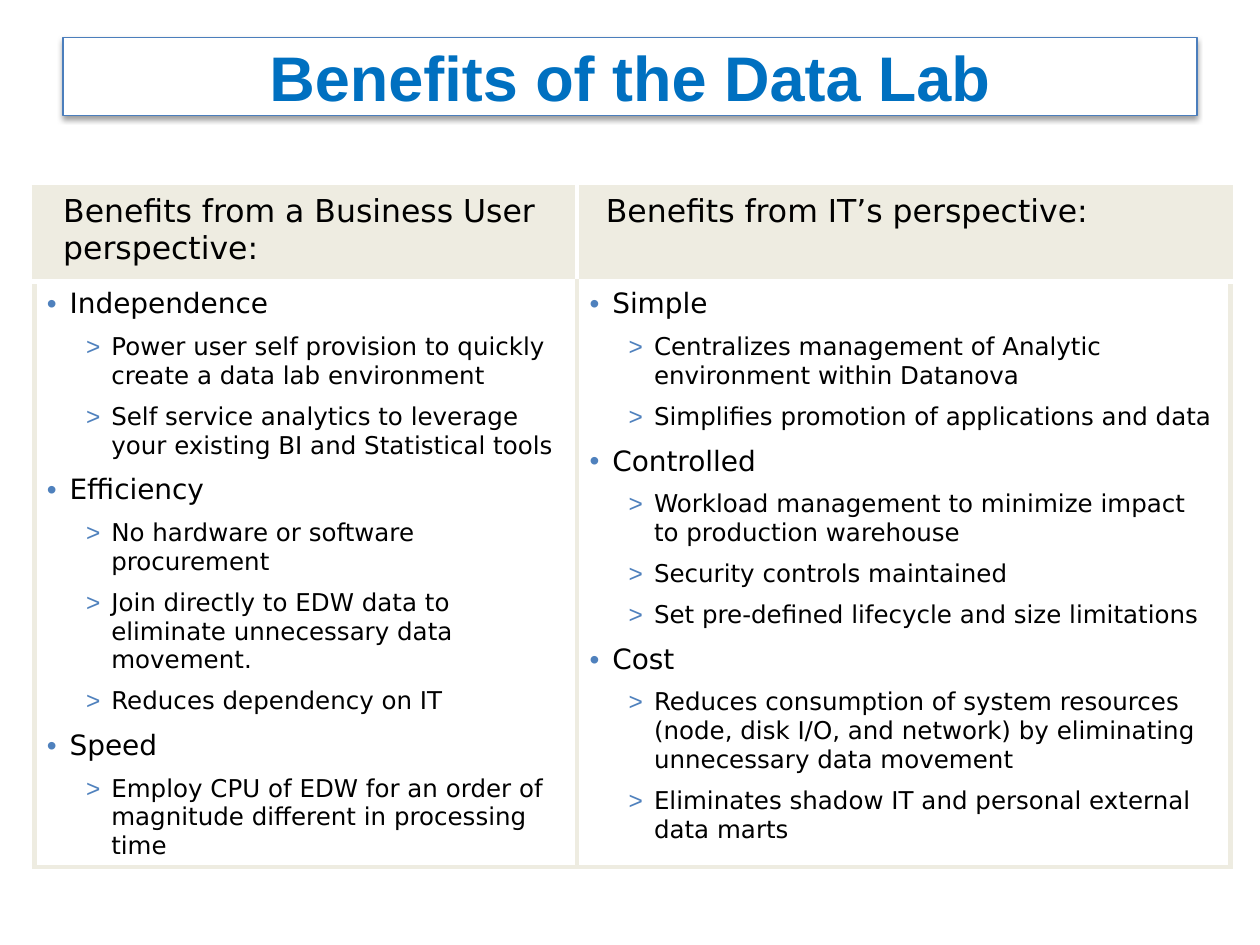
from dataclasses import dataclass

from lxml import etree
from pptx import Presentation
from pptx import util as u
from pptx.dml.color import RGBColor
from pptx.enum import shapes, text
from pptx.oxml import ns

WHITE = RGBColor(0xFF, 0xFF, 0xFF)
BLACK = RGBColor(0x00, 0x00, 0x00)
SAND = RGBColor(0xEE, 0xEC, 0xE1)
TITLE_BLUE = RGBColor(0x00, 0x70, 0xC0)
FRAME_BLUE = RGBColor(0x4B, 0x7E, 0xBC)
BULLET_BLUE = RGBColor(0x4F, 0x81, 0xBD)
BODY_FONT = "DejaVu Sans"


@dataclass(frozen=True)
class Level:
    number: int
    size: int
    left: float
    hang: float
    bullet: str


@dataclass(frozen=True)
class Benefit:
    name: str
    details: tuple[str, ...]


@dataclass(frozen=True)
class Perspective:
    heading: str
    width: float
    benefits: tuple[Benefit, ...]


HEADING = Level(0, 18, 0.33, 0, "")
TOPIC = Level(0, 16, 0.46, 0.46, "•")
DETAIL = Level(1, 14, 1.3, 0.51, ">")

PERSPECTIVES = (
    Perspective("Benefits from a Business User perspective:", 10.94, (
        Benefit("Independence", (
            "Power user self provision to quickly create a data lab environment",
            "Self service analytics to leverage your existing BI and Statistical tools")),
        Benefit("Efficiency", (
            "No hardware or software procurement",
            "Join directly to EDW data to eliminate unnecessary data movement.",
            "Reduces dependency on IT")),
        Benefit("Speed", (
            "Employ CPU of EDW for an order of magnitude different in processing time",)),
    )),
    Perspective("Benefits from IT’s perspective:", 13.18, (
        Benefit("Simple", (
            "Centralizes management of Analytic environment within Datanova",
            "Simplifies promotion of applications and data")),
        Benefit("Controlled", (
            "Workload management to minimize impact to production warehouse",
            "Security controls maintained",
            "Set pre-defined lifecycle and size limitations")),
        Benefit("Cost", (
            "Reduces consumption of system resources (node, disk I/O, and network) "
            "by eliminating unnecessary data movement",
            "Eliminates shadow IT and personal external data marts")),
    )),
)


def add_element(parent, tag: str, **attributes: str):
    return etree.SubElement(parent, ns.qn(tag), attributes)


def add_span(para, words: str, *, font: str, size: int, color: RGBColor,
             bold: bool = False) -> None:
    span = para.add_run()
    span.text = words
    span.font.name = font
    span.font.size = u.Pt(size)
    span.font.bold = bold
    span.font.color.rgb = color


def add_title(page, words: str) -> None:
    box = page.shapes.add_shape(shapes.MSO_SHAPE.RECTANGLE, u.Cm(1.27), u.Cm(0.76),
                                u.Cm(22.86), u.Cm(1.57))
    box.fill.solid()
    box.fill.fore_color.rgb = WHITE
    box.line.color.rgb = FRAME_BLUE
    box.line.width = u.Pt(0.75)
    # Soft shadow below the frame
    box.shadow.inherit = False
    effects = box._element.spPr.find(ns.qn("a:effectLst"))
    shadow = add_element(effects, "a:outerShdw", blurRad=str(u.Pt(3.1)),
                         dist=str(u.Pt(1.6)), dir="5400000", rotWithShape="0")
    shade = add_element(shadow, "a:srgbClr", val=str(BLACK))
    add_element(shade, "a:alpha", val="38000")
    frame = box.text_frame
    frame.word_wrap = True
    frame.vertical_anchor = text.MSO_ANCHOR.MIDDLE
    para = frame.paragraphs[0]
    para.alignment = text.PP_ALIGN.CENTER
    add_span(para, words, font="Arial", size=36, color=TITLE_BLUE, bold=True)


def style_cell(cell, *, fill: RGBColor, left: RGBColor, right: RGBColor) -> None:
    cell.fill.solid()
    cell.fill.fore_color.rgb = fill
    properties = cell._tc.get_or_add_tcPr()
    sides = {"L": left, "R": right, "T": fill, "B": SAND}
    for position, (side, color) in enumerate(sides.items()):
        line = etree.Element(ns.qn(f"a:ln{side}"), w=str(u.Pt(3)))
        paint = add_element(line, "a:solidFill")
        add_element(paint, "a:srgbClr", val=str(color))
        properties.insert(position, line)


def write_cell(cell, lines: list[tuple[Level, str]]) -> None:
    frame = cell.text_frame
    for index, (level, words) in enumerate(lines):
        para = frame.add_paragraph() if index else frame.paragraphs[0]
        para.level = level.number
        para.space_before = u.Pt(level.size / 2 if index else 0)
        properties = para._p.get_or_add_pPr()
        properties.set("marL", str(u.Cm(level.left)))
        properties.set("indent", str(-u.Cm(level.hang)))
        if level.bullet:
            color = add_element(properties, "a:buClr")
            add_element(color, "a:srgbClr", val=str(BULLET_BLUE))
            add_element(properties, "a:buFont", typeface="Arial")
            add_element(properties, "a:buChar", char=level.bullet)
        add_span(para, words, font=BODY_FONT, size=level.size, color=BLACK)


def add_benefits_table(page, perspectives: tuple[Perspective, ...]) -> None:
    heights = (1.9, 11.78)
    width = sum(item.width for item in perspectives)
    table = page.shapes.add_table(2, len(perspectives), u.Cm(0.69), u.Cm(3.78),
                                  u.Cm(width), u.Cm(sum(heights))).table
    table.first_row = table.horz_banding = False
    for row, height in zip(table.rows, heights):
        row.height = u.Cm(height)
    last = len(perspectives) - 1
    for index, item in enumerate(perspectives):
        table.columns[index].width = u.Cm(item.width)
        header, body = table.cell(0, index), table.cell(1, index)
        # White divider in the header, sand frame around the body
        style_cell(header, fill=SAND, left=WHITE if index else SAND,
                   right=SAND if index == last else WHITE)
        style_cell(body, fill=WHITE, left=SAND, right=SAND)
        write_cell(header, [(HEADING, item.heading)])
        lines = []
        for benefit in item.benefits:
            lines.append((TOPIC, benefit.name))
            lines.extend((DETAIL, detail) for detail in benefit.details)
        write_cell(body, lines)


def main() -> None:
    deck = Presentation()
    deck.slide_width, deck.slide_height = u.Cm(25.4), u.Cm(19.05)
    page = deck.slides.add_slide(deck.slide_layouts[6])
    add_title(page, "Benefits of the Data Lab")
    add_benefits_table(page, PERSPECTIVES)
    deck.save("out.pptx")


if __name__ == "__main__":
    main()
